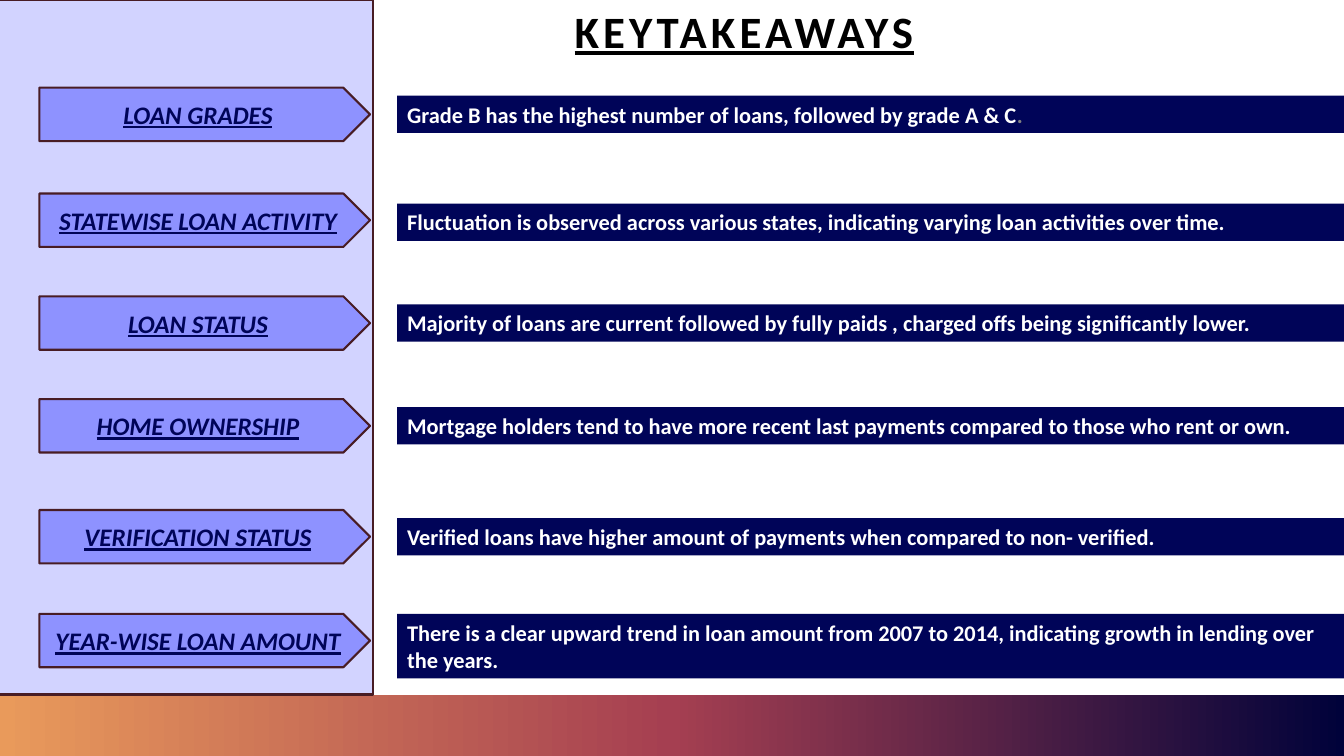
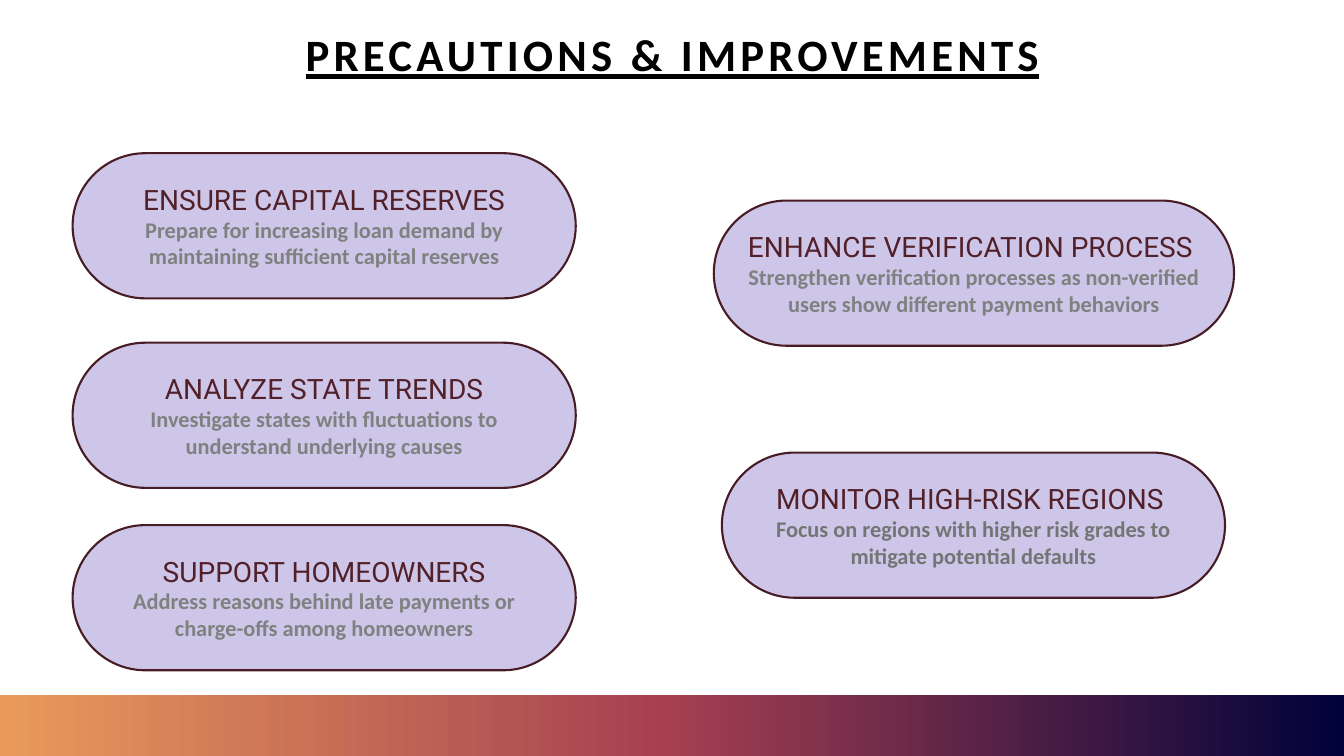
from copy import deepcopy
from pptx import Presentation
from pptx.dml.color import RGBColor
from pptx.enum.shapes import MSO_SHAPE as Shape
from pptx.enum.text import MSO_ANCHOR as Anchor, MSO_AUTO_SIZE as AutoSize, PP_ALIGN as Align
from pptx.oxml.ns import qn
from pptx.util import Inches, Pt

NAVY, MAROON, GREY = "000458", "481C24", "808080"
BAND_STOPS = [(0, "E99A5B"), (0.5, "A53F51"), (1, "00023A")]


def write(paragraph, text, size=16, color="FFFFFF", font="Calibri", bold=True,
          italic=False, underline=False, align=Align.LEFT, spacing=None):
    paragraph.alignment = align
    run = paragraph.add_run()
    run.text = text
    run.font.size = Pt(size)
    run.font.name = font
    run.font.bold = bold
    run.font.italic = italic
    run.font.underline = underline
    run.font.color.rgb = RGBColor.from_string(color)
    if spacing:
        run.font._element.set("spc", str(spacing * 100))


def add_box(slide, kind, left, top, width, height, fill=None, line=None):
    box = slide.shapes.add_shape(kind, Inches(left), Inches(top), Inches(width), Inches(height))
    box.shadow.inherit = False
    if fill:
        box.fill.solid()
        box.fill.fore_color.rgb = RGBColor.from_string(fill)
    if line:
        box.line.color.rgb = RGBColor.from_string(line)
        box.line.width = Pt(1.5)
    else:
        box.line.fill.background()
    box.text_frame.word_wrap = True
    box.text_frame.vertical_anchor = Anchor.MIDDLE
    return box


prs = Presentation()
prs.slide_width, prs.slide_height = Inches(13.33), Inches(7.5)

titles = [("KEYTAKEAWAYS", 1.63, 0.13, 0.42), ("PRECAUTIONS & IMPROVEMENTS", 0.92, 0, 1.14)]
slides = []
for heading, left, top, height in titles:
    slide = prs.slides.add_slide(prs.slide_layouts[5])
    title = slide.shapes.title
    title.left, title.top = Inches(left), Inches(top)
    title.width, title.height = Inches(11.5), Inches(height)
    title.text_frame.auto_size = AutoSize.NONE
    title.text_frame.vertical_anchor = Anchor.MIDDLE
    title_line = title.text_frame.paragraphs[0]
    title_line.line_spacing = 0.9
    write(title_line, heading, size=32, color="000000", underline=True,
          align=Align.CENTER, spacing=3)

    band = add_box(slide, Shape.RECTANGLE, 0, 6.89, 13.33, 0.61)
    band.fill.gradient()
    band.fill.gradient_angle = 0
    stop_list = band._element.spPr.find(qn("a:gradFill")).find(qn("a:gsLst"))
    stop_list.append(deepcopy(stop_list[0]))
    for stop, (position, color) in zip(band.fill.gradient_stops, BAND_STOPS):
        stop.position = position
        stop.color.rgb = RGBColor.from_string(color)
    slides.append(slide)

takeaways_slide, improvements_slide = slides

takeaways = [
    ("LOAN GRADES", 0.87, 0.95, 0.37,
     "Grade B has the highest number of loans, followed by grade A & C", "."),
    ("STATEWISE LOAN ACTIVITY", 1.92, 2.02, 0.37,
     "Fluctuation is observed across various states, indicating varying loan activities over time.", ""),
    ("LOAN STATUS", 2.94, 3.02, 0.37,
     "Majority of loans are current followed by fully paids , charged offs being significantly lower.", ""),
    ("HOME OWNERSHIP", 3.96, 4.04, 0.37,
     "Mortgage holders tend to have more recent last payments compared to those who rent or own.", ""),
    ("VERIFICATION STATUS", 5.06, 5.14, 0.37,
     "Verified loans have higher amount of payments when compared to non- verified.", ""),
    ("YEAR-WISE LOAN AMOUNT", 6.09, 6.09, 0.64,
     "There is a clear upward trend in loan amount from 2007 to 2014, "
     "indicating growth in lending over the years.", ""),
]
add_box(takeaways_slide, Shape.RECTANGLE, -0.08, 0, 3.78, 6.89, "D2D3FF", MAROON)
for topic, topic_top, finding_top, finding_height, finding, grey_ending in takeaways:
    arrow = add_box(takeaways_slide, Shape.PENTAGON, 0.39, topic_top, 3.28, 0.53, "8E92FF", MAROON)
    write(arrow.text_frame.paragraphs[0], topic, size=18, color=NAVY, italic=True,
          underline=True, align=Align.CENTER)
    bar = add_box(takeaways_slide, Shape.RECTANGLE, 3.94, finding_top, 9.4, finding_height, NAVY)
    bar.text_frame.vertical_anchor = Anchor.TOP
    bar.text_frame.auto_size = AutoSize.SHAPE_TO_FIT_TEXT
    write(bar.text_frame.paragraphs[0], finding)
    if grey_ending:
        write(bar.text_frame.paragraphs[0], grey_ending, color=GREY)

improvements = [
    ("ENSURE CAPITAL RESERVES", 0.72, 1.52, 4.99, GREY,
     "Prepare for increasing loan demand by maintaining sufficient capital reserves"),
    ("ANALYZE STATE TRENDS", 0.72, 3.4, 4.99, GREY,
     "Investigate states with fluctuations to understand underlying causes"),
    ("SUPPORT HOMEOWNERS", 0.72, 5.21, 4.99, GREY,
     "Address reasons behind late payments or charge-offs among homeowners"),
    ("ENHANCE VERIFICATION PROCESS ", 7.08, 1.99, 5.16, GREY,
     "Strengthen verification processes as non-verified users show different payment behaviors"),
    ("MONITOR HIGH-RISK REGIONS ", 7.16, 4.49, 4.99, "747474",
     "Focus on regions with higher risk grades to mitigate potential defaults"),
]
for action, left, top, width, detail_color, detail in improvements:
    pill = add_box(improvements_slide, Shape.ROUNDED_RECTANGLE, left, top, width, 1.44, "CEC6E9", MAROON)
    pill.adjustments[0] = 0.5
    write(pill.text_frame.paragraphs[0], action, size=20, color="522029", font="Roboto",
          bold=False, align=Align.CENTER)
    write(pill.text_frame.add_paragraph(), detail, color=detail_color, align=Align.CENTER)

prs.save("out.pptx")
